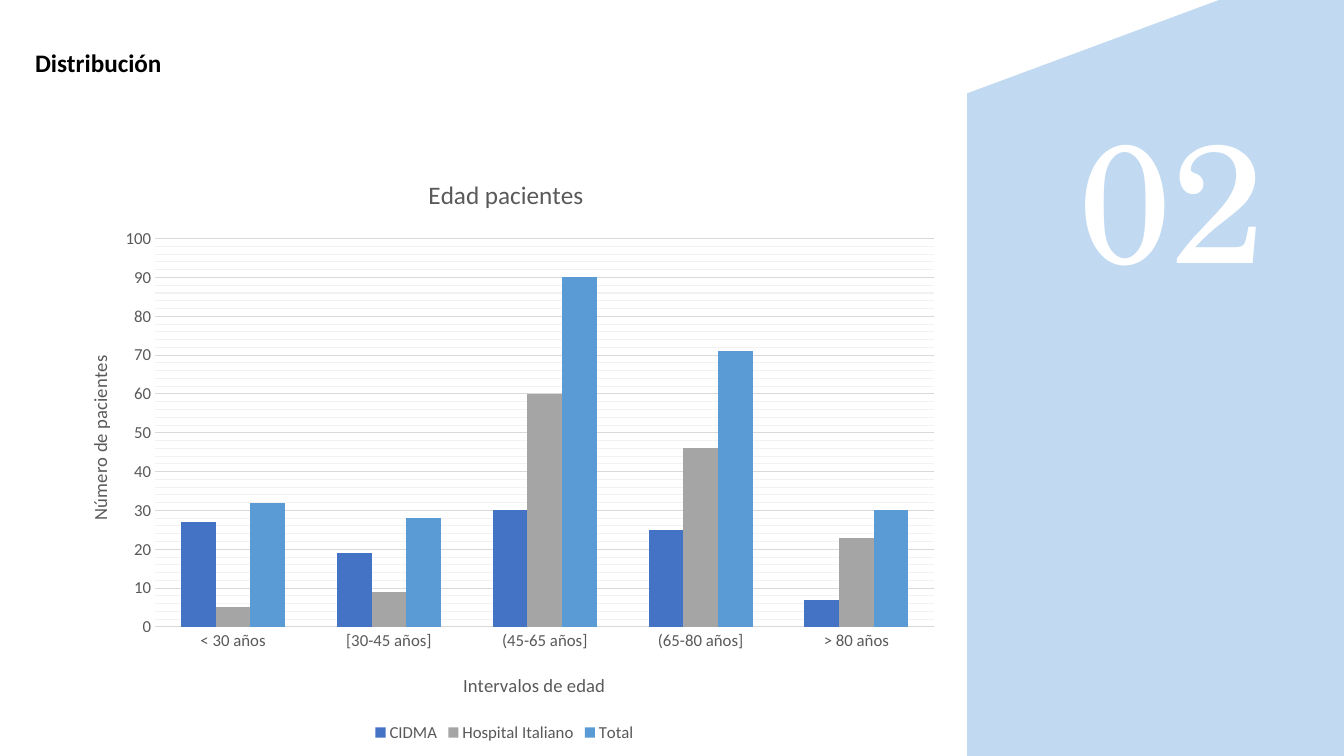
from lxml.etree import SubElement
from pptx import Presentation
from pptx.chart.data import CategoryChartData
from pptx.dml.color import RGBColor
from pptx.enum.chart import XL_CHART_TYPE, XL_LEGEND_POSITION, XL_TICK_MARK
from pptx.enum.text import MSO_ANCHOR, MSO_AUTO_SIZE, PP_ALIGN
from pptx.oxml.ns import qn
from pptx.util import Pt

PX = 9525
SLIDE_SIZE = (1280, 720)


def color(value):
    return RGBColor.from_string(value)


class SlideBuilder:
    sans = "Calibri"
    serif = "TeX Gyre Schola"
    black, white, gray = "000000", "FFFFFF", "595959"
    panel_fill = "C1DAF1"
    major_grid, minor_grid = "D9D9D9", "F2F2F2"

    def __init__(self, slide):
        self.slide = slide

    def style_font(self, font, size, fill, name=sans, bold=False):
        font.size = Pt(size)
        font.name = name
        font.bold = bold
        font.color.rgb = color(fill)

    def panel(self, points):
        builder = self.slide.shapes.build_freeform(*points[0], scale=PX)
        builder.add_line_segments(points[1:], close=True)
        shape = builder.convert_to_shape()
        shape.shadow.inherit = False
        shape.fill.solid()
        shape.fill.fore_color.rgb = color(self.panel_fill)
        shape.line.fill.background()

    def text(self, words, box, size, fill, name=sans, bold=False, wrap=True,
             align=PP_ALIGN.LEFT, anchor=MSO_ANCHOR.TOP):
        shape = self.slide.shapes.add_textbox(*(value * PX for value in box))
        frame = shape.text_frame
        frame.word_wrap = wrap
        frame.auto_size = MSO_AUTO_SIZE.NONE if wrap else MSO_AUTO_SIZE.SHAPE_TO_FIT_TEXT
        frame.vertical_anchor = anchor
        paragraph = frame.paragraphs[0]
        paragraph.text = words
        paragraph.alignment = align
        self.style_font(paragraph.font, size, fill, name, bold)

    def place(self, element, index, **fractions):
        for old in element.findall(qn("c:layout")):
            element.remove(old)
        layout = SubElement(element, qn("c:layout"))
        element.insert(index, layout)
        manual = SubElement(layout, qn("c:manualLayout"))
        if "w" in fractions:
            SubElement(manual, qn("c:layoutTarget")).set("val", "inner")
        for key in ("x", "y"):
            SubElement(manual, qn(f"c:{key}Mode")).set("val", "edge")
        for key, value in fractions.items():
            SubElement(manual, qn(f"c:{key}")).set("val", str(value))

    def chart_title(self, title, words, size, x, y):
        paragraph = title.text_frame.paragraphs[0]
        paragraph.text = words
        self.style_font(paragraph.font, size, self.gray)
        self.place(title.element, 1, x=x, y=y)

    def gridlines(self, chart, axis):
        axis.has_major_gridlines = True
        axis.has_minor_gridlines = True
        major_line = axis.major_gridlines.format.line
        major_line.color.rgb = color(self.major_grid)
        major_line.width = Pt(0.75)
        for minor in chart.element.iter(qn("c:minorGridlines")):
            properties = SubElement(minor, qn("c:spPr"))
            line = SubElement(properties, qn("a:ln"), w=str(Pt(0.75)))
            fill = SubElement(line, qn("a:solidFill"))
            SubElement(fill, qn("a:srgbClr"), val=self.minor_grid)

    def column_chart(self, box, title, category_title, value_title, categories, series):
        data = CategoryChartData()
        data.categories = categories
        for name, values, fill in series:
            data.add_series(name, values)
        frame = self.slide.shapes.add_chart(
            XL_CHART_TYPE.COLUMN_CLUSTERED, *(value * PX for value in box), data)
        chart = frame.chart
        self.style_font(chart.font, 12, self.gray)
        chart.has_title = True
        self.chart_title(chart.chart_title, title, 18, 0.41, 0.04)
        plot_area = next(chart.element.iter(qn("c:plotArea")))
        self.place(plot_area, 0, x=0.11, y=0.15, w=0.87, h=0.65)

        plot = chart.plots[0]
        plot.gap_width = 150
        plot.overlap = 0
        plot.vary_by_categories = False
        for column, (name, values, fill) in zip(plot.series, series):
            column.format.fill.solid()
            column.format.fill.fore_color.rgb = color(fill)

        category_axis, value_axis = chart.category_axis, chart.value_axis
        for axis, words, x, y in ((category_axis, category_title, 0.45, 0.87),
                                  (value_axis, value_title, 0.03, 0.34)):
            axis.major_tick_mark = XL_TICK_MARK.NONE
            axis.minor_tick_mark = XL_TICK_MARK.NONE
            axis.format.line.fill.background()
            self.style_font(axis.tick_labels.font, 12, self.gray)
            axis.has_title = True
            self.chart_title(axis.axis_title, words, 13.3, x, y)

        value_axis.minimum_scale, value_axis.maximum_scale = 0, 100
        value_axis.major_unit, value_axis.minor_unit = 10, 2
        self.gridlines(chart, value_axis)

        chart.has_legend = True
        chart.legend.position = XL_LEGEND_POSITION.BOTTOM
        chart.legend.include_in_layout = False
        self.style_font(chart.legend.font, 12, self.gray)


def main():
    presentation = Presentation()
    presentation.slide_width, presentation.slide_height = (side * PX for side in SLIDE_SIZE)
    builder = SlideBuilder(presentation.slides.add_slide(presentation.slide_layouts[6]))
    builder.panel([(1161, 0), (1280, 0), (1280, 720), (921, 720), (921, 89)])
    builder.text("Distribución", (24, 40, 146, 38), 18, builder.black, bold=True, wrap=False)
    builder.column_chart(
        (54, 142, 853, 569), "Edad pacientes", "Intervalos de edad", "Número de pacientes",
        ["< 30 años", "[30-45 años]", "(45-65 años]", "(65-80 años]", "> 80 años"],
        [("CIDMA", (27, 19, 30, 25, 7), "4472C4"),
         ("Hospital Italiano", (5, 9, 60, 46, 23), "A5A5A5"),
         ("Total", (32, 28, 90, 71, 30), "5B9BD5")])
    builder.text("02", (969, 107, 294, 159), 120, builder.white, name=builder.serif,
                 align=PP_ALIGN.CENTER, anchor=MSO_ANCHOR.MIDDLE)
    presentation.save("out.pptx")


if __name__ == "__main__":
    main()
